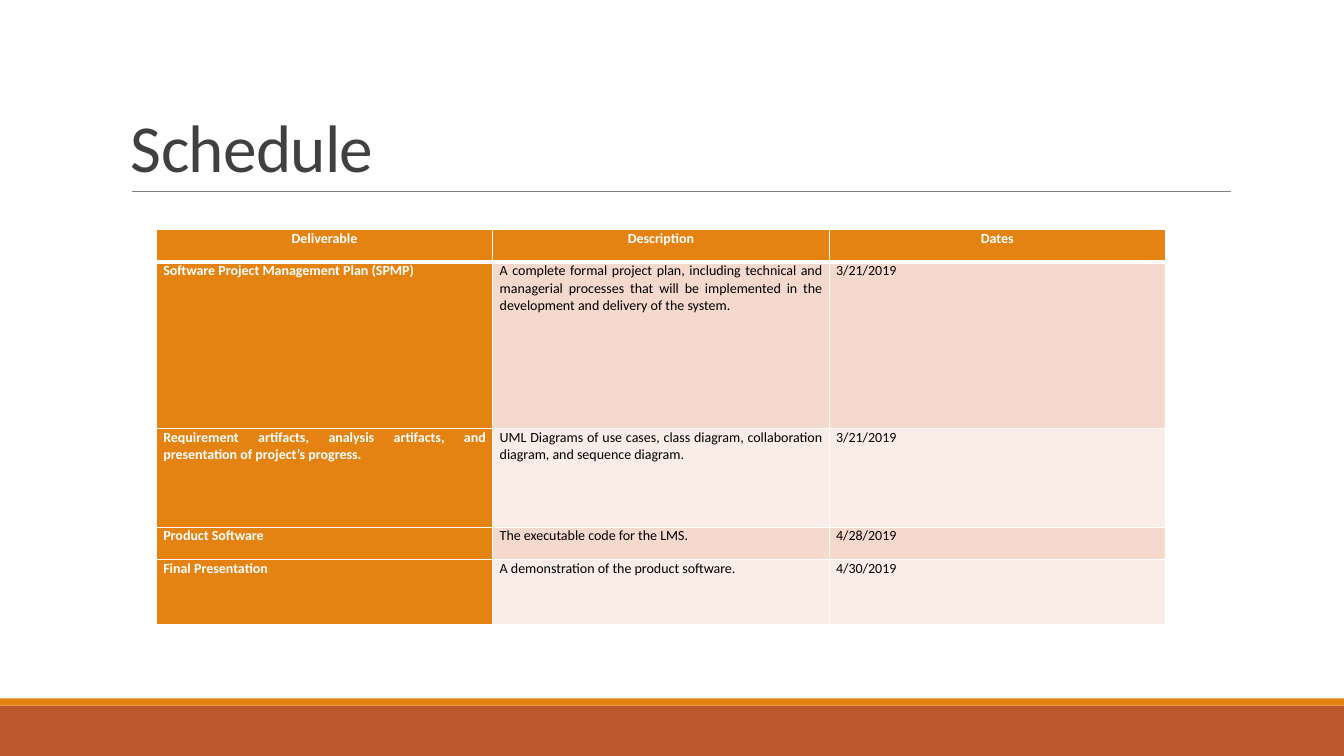
from dataclasses import dataclass

from lxml.etree import SubElement
from pptx import Presentation
from pptx.dml.color import RGBColor
from pptx.enum.shapes import MSO_CONNECTOR as Connector, MSO_SHAPE as Shape
from pptx.enum.text import MSO_ANCHOR as Anchor, PP_ALIGN as Align
from pptx.oxml import parse_xml
from pptx.oxml.ns import nsdecls, qn
from pptx.util import Inches, Pt


@dataclass(frozen=True)
class Theme:
    """Colours, font and type sizes of the slide."""
    accent: str = "E48312"
    footer: str = "BD582C"
    title: str = "404040"
    rule: str = "808080"
    body: str = "000000"
    light: str = "FFFFFF"
    bands: tuple = ("F5D9CC", "FAEDE7")
    font: str = "Calibri"
    title_size: float = 48
    cell_size: float = 10


THEME = Theme()
WIDTH, HEIGHT = 13.33, 7.5
ROW_HEIGHTS = (0.32, 1.65, 0.98, 0.32, 0.65)
SCHEDULE = (
    ("Deliverable", "Description", "Dates"),
    ("Software Project Management Plan (SPMP)",
     "A complete formal project plan, including technical and managerial "
     "processes that will be implemented in the development and delivery "
     "of the system.", "3/21/2019"),
    ("Requirement artifacts, analysis artifacts, and presentation of "
     "project\u2019s progress.",
     "UML Diagrams of use cases, class diagram, collaboration diagram, "
     "and sequence diagram.", "3/21/2019"),
    ("Product Software", "The executable code for the LMS.", "4/28/2019"),
    ("Final Presentation", "A demonstration of the product software.",
     "4/30/2019"),
)


def rgb(colour):
    """Turn a hex string into a colour."""
    return RGBColor.from_string(colour)


def style_run(run, size, colour, bold=False):
    """Set the font, size, colour and weight of a run."""
    run.font.name = THEME.font
    run.font.size = Pt(size)
    run.font.color.rgb = rgb(colour)
    run.font.bold = bold


def add_band(slide, top, height, colour):
    """Add a plain band across the full slide width."""
    band = slide.shapes.add_shape(
        Shape.RECTANGLE, 0, Inches(top), Inches(WIDTH), Inches(height))
    band.shadow.inherit = False
    band.fill.solid()
    band.fill.fore_color.rgb = rgb(colour)
    band.line.fill.background()


def add_title(slide, wording):
    """Add the title, resting on the bottom of its frame."""
    title = slide.shapes.add_textbox(
        Inches(1.2), Inches(0.31), Inches(11), Inches(1.59))
    frame = title.text_frame
    frame.word_wrap = True
    frame.vertical_anchor = Anchor.BOTTOM
    frame.text = wording
    heading = frame.paragraphs[0]
    heading.line_spacing = 0.85
    run = heading.runs[0]
    style_run(run, THEME.title_size, THEME.title)
    run.font._element.set("spc", "-50")


def add_rule(slide, left, right, y):
    """Add the thin horizontal rule under the title."""
    rule = slide.shapes.add_connector(
        Connector.STRAIGHT, Inches(left), Inches(y), Inches(right), Inches(y))
    rule.line.color.rgb = rgb(THEME.rule)
    rule.line.width = Pt(0.5)
    SubElement(rule._element.spPr, qn("a:effectLst"))


def set_borders(cell, widths):
    """Draw light cell borders, given in points by side."""
    properties = cell._tc.get_or_add_tcPr()
    for place, (side, width) in enumerate(widths.items()):
        properties.insert(place, parse_xml(
            f'<a:ln{side} {nsdecls("a")} w="{Pt(width)}"><a:solidFill>'
            f'<a:srgbClr val="{THEME.light}"/></a:solidFill></a:ln{side}>'))


def fill_cell(cell, wording, row, column):
    """Write and style one cell by its place in the schedule."""
    header = row == 0
    strong = header or column == 0
    cell.margin_left = cell.margin_right = Inches(0.07)
    cell.margin_top = cell.margin_bottom = 0
    cell.fill.solid()
    cell.fill.fore_color.rgb = rgb(
        THEME.accent if strong else THEME.bands[(row - 1) % 2])
    cell.text_frame.text = wording
    entry = cell.text_frame.paragraphs[0]
    entry.alignment = Align.CENTER if header else Align.JUSTIFY
    entry.line_spacing = 1.03
    entry.space_after = Pt(13.3)
    style_run(entry.runs[0], THEME.cell_size,
              THEME.light if strong else THEME.body, strong)
    set_borders(cell, {"L": 1, "R": 1, "T": 3 if row == 1 else 1,
                       "B": 3 if header else 1})


def add_schedule(slide, left, top, width):
    """Add the schedule table with equal columns."""
    columns = len(SCHEDULE[0])
    table = slide.shapes.add_table(
        len(SCHEDULE), columns, Inches(left), Inches(top),
        Inches(width), Inches(sum(ROW_HEIGHTS))).table
    for column in table.columns:
        column.width = Inches(width / columns)
    for row, (height, entries) in enumerate(zip(ROW_HEIGHTS, SCHEDULE)):
        table.rows[row].height = Inches(height)
        for column, wording in enumerate(entries):
            fill_cell(table.cell(row, column), wording, row, column)


def main():
    """Build and save the schedule slide."""
    deck = Presentation()
    deck.slide_width, deck.slide_height = Inches(WIDTH), Inches(HEIGHT)
    slide = deck.slides.add_slide(deck.slide_layouts[6])
    footer_top, stripe = HEIGHT - 0.5, 0.07
    add_band(slide, footer_top, 0.5, THEME.footer)
    add_band(slide, footer_top - stripe, stripe, THEME.accent)
    add_rule(slide, 1.31, 12.21, 1.9)
    add_title(slide, "Schedule")
    add_schedule(slide, 1.55, 2.28, 10.01)
    deck.save("out.pptx")


main()
